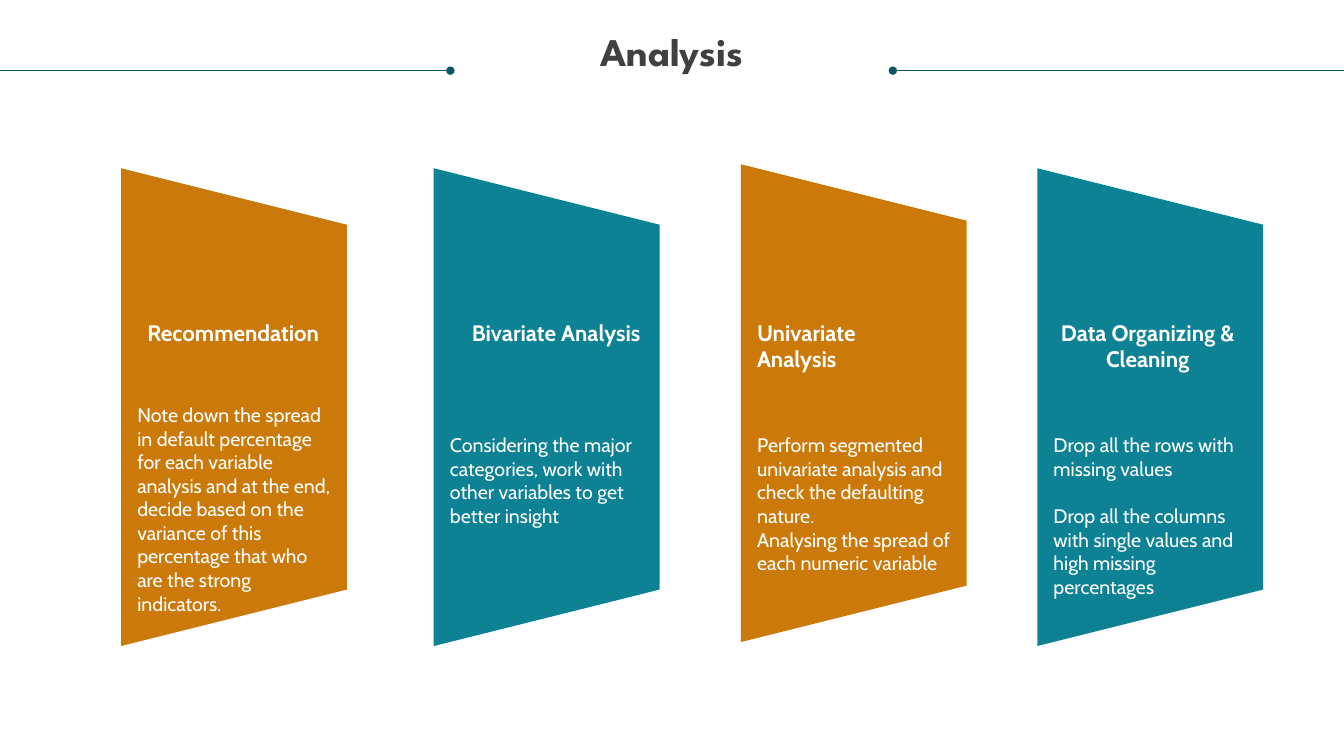
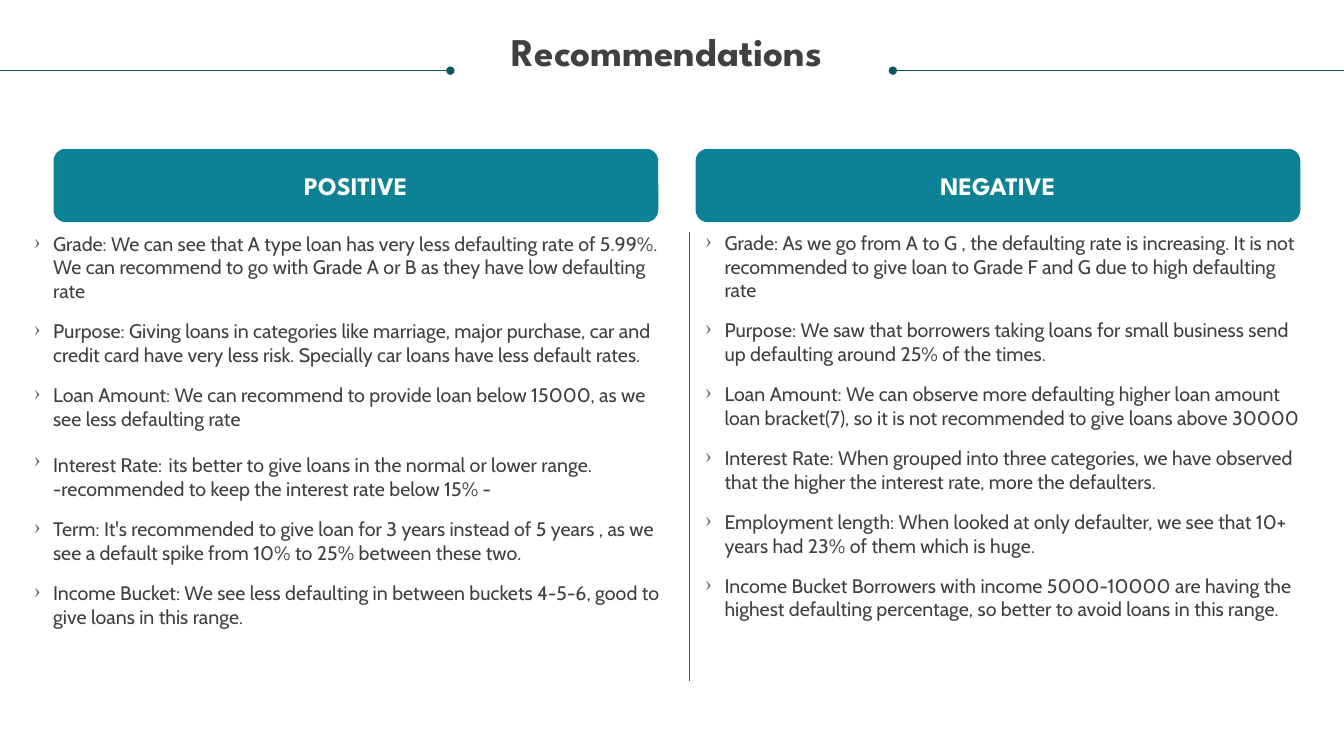
from lxml import etree
from pptx import Presentation
from pptx.dml.color import RGBColor
from pptx.enum.shapes import MSO_CONNECTOR, MSO_SHAPE
from pptx.enum.text import MSO_ANCHOR, PP_ALIGN
from pptx.oxml.ns import qn
from pptx.util import Cm, Pt

LEFT, CENTER = PP_ALIGN.LEFT, PP_ALIGN.CENTER
MIDDLE = MSO_ANCHOR.MIDDLE
STRAIGHT = MSO_CONNECTOR.STRAIGHT
TRAPEZOID, ROUNDED = MSO_SHAPE.TRAPEZOID, MSO_SHAPE.ROUNDED_RECTANGLE

COLORS = {"teal": "0D8295", "orange": "CB7A09", "rule": "085764",
          "dark": "404040", "gray": "585858", "white": "FFFFFF", "black": "000000"}
HEAD, BODY, SERIF = "League Spartan", "Cabin", "Times New Roman"
WIDTH, HEIGHT = 33.87, 19.05

# Card: left and middle, color; heading with inset, width, alignment; body top and text
CARDS = [
    (3.05, 10.26, "orange", ("Recommendation", 0.66, 4.34, CENTER), 10.16,
     ["Note down the spread in default percentage for each variable analysis and at "
      "the end, decide based on the variance of this percentage that who are the "
      "strong indicators."], 0),
    (10.93, 10.26, "teal", ("Bivariate Analysis", 0.96, 4.34, LEFT), 10.92,
     ["Considering the major categories, work with other variables to get better "
      "insight"], 0),
    (18.67, 10.16, "orange", ("Univariate Analysis", 0.41, 4.55, LEFT), 10.92,
     ["Perform segmented univariate analysis and check the defaulting nature.",
      "Analysing the spread of each numeric variable"], 0),
    (26.14, 10.26, "teal", ("Data Organizing & Cleaning", 0.41, 4.75, CENTER), 10.92,
     ["Drop all the rows with missing values",
      "Drop all the columns with single values and high missing percentages"], 17),
]
CARD_W, CARD_H, INSET = 5.69, 12.04, 0.41

# Panel: heading, banner left, list box, items; a tuple item holds several runs
PANELS = [
    ("POSITIVE", 1.35, (0.86, 5.84, 16, 11.43), [
        "Grade: We can see that A type loan has very less defaulting rate of 5.99%. We "
        "can recommend to go with Grade A or B as they have low defaulting rate",
        "Purpose: Giving loans in categories like marriage, major purchase, car and "
        "credit card have very less risk. Specially car loans have less default rates.",
        "Loan Amount: We can recommend to provide loan below 15000, as we see less "
        "defaulting rate",
        ("Interest Rate:", " ", "its better to give loans in the normal or lower range. "
         "-recommended to keep the interest rate below 15% -"),
        "Term: It's recommended to give loan for 3 years instead of 5 years , as we see "
        "a default spike from 10% to 25% between these two.",
        "Income Bucket: We see less defaulting in between buckets 4-5-6, good to give "
        "loans in this range.",
    ]),
    ("NEGATIVE", 17.53, (17.78, 5.82, 15, 11.94), [
        "Grade: As we go from A to G , the defaulting rate is increasing. It is not "
        "recommended to give loan to Grade F and G due to high defaulting rate",
        "Purpose: We saw that borrowers taking loans for small business send up "
        "defaulting around 25% of the times.",
        "Loan Amount: We can observe more defaulting higher loan amount loan "
        "bracket(7), so it is not recommended to give loans above 30000",
        "Interest Rate: When grouped into three categories, we have observed that the "
        "higher the interest rate, more the defaulters.",
        "Employment length: When looked at only defaulter, we see that 10+ years had "
        "23% of them which is huge.",
        "Income Bucket Borrowers with income 5000-10000 are having the highest "
        "defaulting percentage, so better to avoid loans in this range.",
    ]),
]


def rgb(name):
    return RGBColor.from_string(COLORS[name])


def style(run, size, font, color, bold=False):
    run.font.size, run.font.name, run.font.bold = Pt(size), font, bold
    run.font.color.rgb = rgb(color)


def add_text(slide, box, items, size, font, color, bold=False, align=LEFT, gap=0):
    """Add a text box without margins; gap is the space before later paragraphs."""
    frame = slide.shapes.add_textbox(*map(Cm, box)).text_frame
    frame.word_wrap = True
    frame.margin_left = frame.margin_right = frame.margin_top = frame.margin_bottom = 0
    for i, item in enumerate(items):
        para = frame.add_paragraph() if i else frame.paragraphs[0]
        para.alignment = align
        if i:
            para.space_before = Pt(gap)
        for part in item if isinstance(item, tuple) else (item,):
            run = para.add_run()
            run.text = part
            style(run, size, font, color, bold)
    return frame


def add_block(slide, kind, box, color):
    shape = slide.shapes.add_shape(kind, *map(Cm, box))
    shape.shadow.inherit = False
    shape.fill.solid()
    shape.fill.fore_color.rgb = rgb(color)
    shape.line.fill.background()
    return shape


def add_line(slide, start, end, color, dot=False):
    """Add a thin line, with a dot at its end if wanted."""
    line = slide.shapes.add_connector(STRAIGHT, *map(Cm, start + end))
    line.line.color.rgb = rgb(color)
    line.line.width = Pt(0.5)
    if dot:
        etree.SubElement(line.line._get_or_add_ln(), qn("a:tailEnd"), type="oval")
    etree.SubElement(line._element.spPr, qn("a:effectLst"))


def add_bullet(para):
    props = para._p.get_or_add_pPr()
    props.set("marL", str(Cm(0.48)))
    props.set("indent", str(-Cm(0.48)))
    tint = etree.SubElement(props, qn("a:buClr"))
    etree.SubElement(tint, qn("a:srgbClr"), val=COLORS["gray"])
    etree.SubElement(props, qn("a:buChar"), char="›")


def add_slide(deck, title):
    """Add a blank slide with the shared title and its dotted rules."""
    slide = deck.slides.add_slide(deck.slide_layouts[6])
    frame = add_text(slide, (0.64, 0.81, 32.59, 1.07), [title], 28, HEAD, "dark",
                     True, CENTER)
    frame.paragraphs[0].line_spacing = 0.9
    for edge, tip in ((WIDTH, 22.5), (0, 11.35)):
        add_line(slide, (edge, 1.78), (tip, 1.78), "rule", True)
    return slide


def add_card(slide, left, mid, color, head, top, body, gap):
    box = (left + (CARD_W - CARD_H) / 2, mid - CARD_W / 2, CARD_H, CARD_W)
    add_block(slide, TRAPEZOID, box, color).rotation = 90
    text, inset, width, align = head
    add_text(slide, (left + inset, 8.03, width, 0.69), [text], 16, BODY, "white",
             True, align)
    add_text(slide, (left + INSET, top, 4.88, 5.2), body, 14, BODY, "white", gap=gap)


def add_panel(slide, head, left, box, items):
    banner = add_block(slide, ROUNDED, (left, 3.75, 15.24, 1.85), "teal")
    frame = banner.text_frame
    frame.text = head
    frame.vertical_anchor = MIDDLE
    frame.paragraphs[0].alignment = CENTER
    style(frame.paragraphs[0].runs[0], 18, HEAD, "white", True)
    points = add_text(slide, box, items, 14, BODY, "dark", gap=12)
    for para in points.paragraphs:
        add_bullet(para)
        for run in para.runs:
            if run.text == " ":
                style(run, 18, SERIF, "black")


def main():
    deck = Presentation()
    deck.slide_width, deck.slide_height = Cm(WIDTH), Cm(HEIGHT)
    slide = add_slide(deck, "Analysis")
    for card in CARDS:
        add_card(slide, *card)
    slide = add_slide(deck, "Recommendations ")
    for panel in PANELS:
        add_panel(slide, *panel)
    add_line(slide, (17.37, 5.84), (17.37, 17.17), "gray")
    deck.save("out.pptx")


if __name__ == "__main__":
    main()
